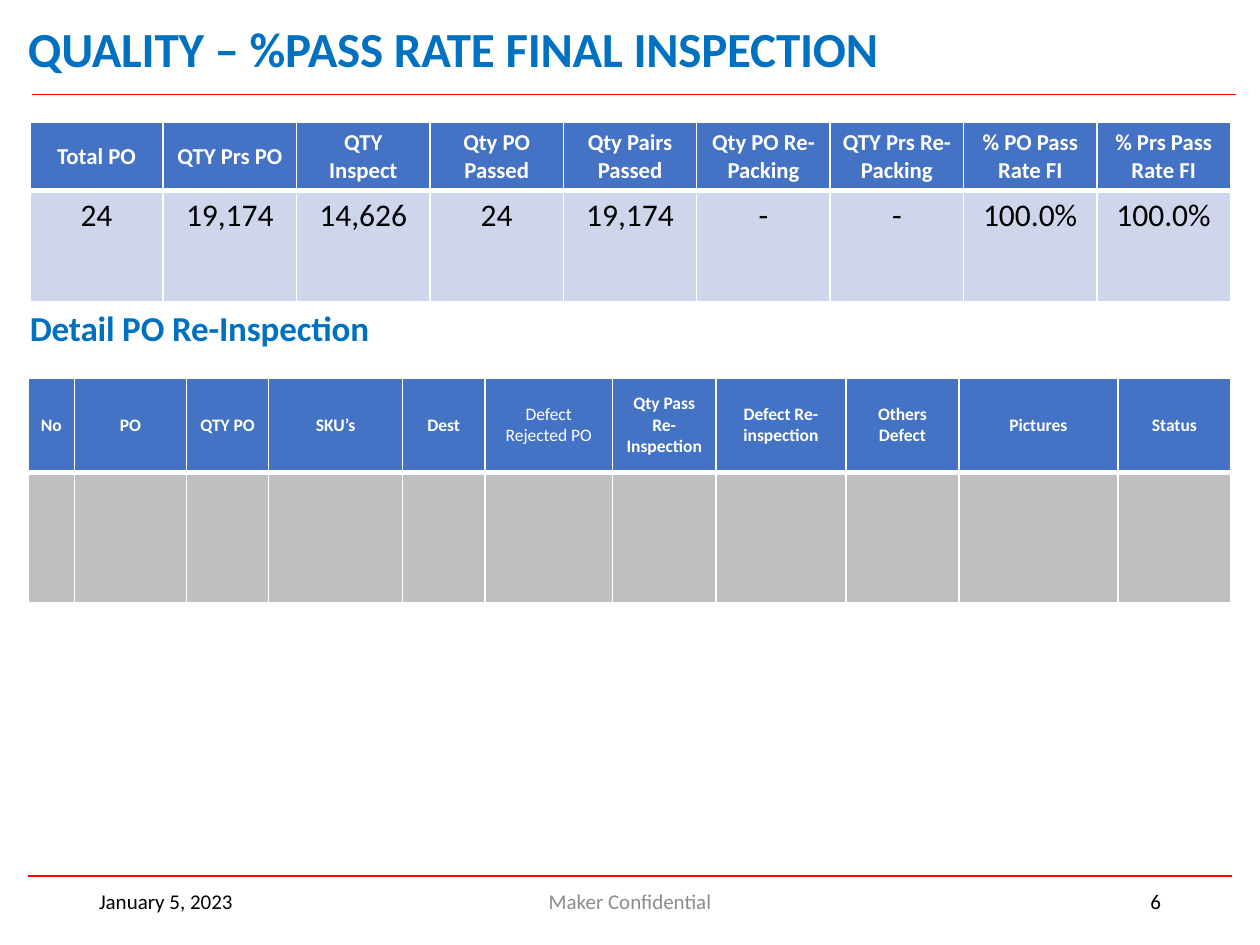
from dataclasses import dataclass

import pptx
import pptx.dml.color
import pptx.enum.shapes
import pptx.enum.text
import pptx.oxml
import pptx.oxml.ns
import pptx.util
from lxml import etree

Pt = pptx.util.Pt
RGBColor = pptx.dml.color.RGBColor
ALIGN = pptx.enum.text.PP_ALIGN
ANCHOR = pptx.enum.text.MSO_ANCHOR
qn = pptx.oxml.ns.qn

RED = RGBColor(0xFF, 0x00, 0x00)
BLUE = RGBColor(0x00, 0x70, 0xC0)
HEADER_BLUE = RGBColor(0x44, 0x72, 0xC4)
PALE_BLUE = RGBColor(0xCF, 0xD5, 0xEA)
SILVER = RGBColor(0xBF, 0xBF, 0xBF)
GREY = RGBColor(0x8C, 0x8C, 0x8C)
BLACK = RGBColor(0x00, 0x00, 0x00)
WHITE = RGBColor(0xFF, 0xFF, 0xFF)

HEADING_MARGINS = dict(margin_left=0, margin_right=0, margin_top=Pt(0.7), margin_bottom=0)


@dataclass
class Rule:
    x1: float
    x2: float
    y: float


@dataclass
class Label:
    text: str
    box: tuple[float, float, float, float]
    size: float
    color: RGBColor
    align: int = ALIGN.LEFT
    heading: bool = False


@dataclass
class Grid:
    x: float
    y: float
    widths: list[float]
    heights: list[float]
    rows: list[list[str]]
    sizes: list[float]
    body_fill: RGBColor
    regular: tuple[str, ...] = ()


def apply(obj, values: dict) -> None:
    for name, value in values.items():
        setattr(obj, name, value)


def write(tf, text: str, size: float, color: RGBColor, align: int, bold: bool) -> None:
    for i, line in enumerate(text.split("\n")):
        p = tf.add_paragraph() if i else tf.paragraphs[0]
        p.alignment = align
        r = p.add_run()
        r.text = line
        apply(r.font, dict(name="Calibri", size=Pt(size), bold=bold))
        r.font.color.rgb = color


def draw_rule(s, rule: Rule) -> None:
    sp = s.shapes.add_connector(pptx.enum.shapes.MSO_CONNECTOR.STRAIGHT,
                                Pt(rule.x1), Pt(rule.y), Pt(rule.x2), Pt(rule.y))
    sp.line.color.rgb = RED
    sp.line.width = Pt(1)
    etree.SubElement(sp._element.spPr, qn("a:effectLst"))


def fill_label(sp, label: Label) -> None:
    apply(sp, dict(zip(("left", "top", "width", "height"), map(Pt, label.box))))
    tf = sp.text_frame
    apply(tf, dict(word_wrap=True, auto_size=pptx.enum.text.MSO_AUTO_SIZE.NONE,
                   vertical_anchor=ANCHOR.TOP if label.heading else ANCHOR.MIDDLE))
    if label.heading:
        apply(tf, HEADING_MARGINS)
    write(tf, label.text, label.size, label.color, label.align, label.heading)
    if label.heading:
        tf.paragraphs[0].runs[0]._r.get_or_add_rPr().set("spc", "-10")


def add_borders(cell, top: float, bottom: float) -> None:
    tc_pr = cell._tc.get_or_add_tcPr()
    for side, width in dict(L=1, R=1, T=top, B=bottom).items():
        ln = etree.SubElement(tc_pr, qn(f"a:ln{side}"), w=str(Pt(width)))
        fill = etree.SubElement(ln, qn("a:solidFill"))
        etree.SubElement(fill, qn("a:srgbClr"), val=str(WHITE))


def draw_grid(s, grid: Grid) -> None:
    table = s.shapes.add_table(len(grid.rows), len(grid.widths), Pt(grid.x), Pt(grid.y),
                               Pt(sum(grid.widths)), Pt(sum(grid.heights))).table
    for column, width in zip(table.columns, grid.widths):
        column.width = Pt(width)
    for i, texts in enumerate(grid.rows):
        header = i == 0
        table.rows[i].height = Pt(grid.heights[i])
        for j, text in enumerate(texts):
            cell = table.cell(i, j)
            add_borders(cell, 1 if header else 3, 3 if header else 1)
            cell.fill.solid()
            cell.fill.fore_color.rgb = HEADER_BLUE if header else grid.body_fill
            apply(cell, dict(margin_left=Pt(7), margin_right=Pt(7),
                             vertical_anchor=ANCHOR.MIDDLE if header else ANCHOR.TOP))
            if text:
                write(cell.text_frame, text, grid.sizes[i], WHITE if header else BLACK,
                      ALIGN.CENTER, header and text not in grid.regular)


RULES = [Rule(18, 706.3, 54), Rule(15.8, 704.2, 500.4)]

TITLE = Label("QUALITY – %PASS RATE FINAL INSPECTION", (16, 10, 630, 35.3), 28, BLUE, heading=True)

LABELS = [
    Label("Detail PO Re-Inspection", (17, 174.2, 686, 25.2), 20, BLUE, heading=True),
    Label("January 5, 2023", (49.5, 500.4, 162, 28.8), 12, BLACK),
    Label("Maker Confidential", (238.5, 500.4, 243, 28.8), 12, GREY, ALIGN.CENTER),
    Label("6", (508.5, 500.4, 162, 28.8), 12, BLACK, ALIGN.RIGHT),
]

SUMMARY = Grid(
    17, 70, [76.24] * 9, [38.9, 63.4],
    [["Total PO", "QTY Prs PO", "QTY Inspect", "Qty PO Passed", "Qty Pairs Passed",
      "Qty PO Re-Packing", "QTY Prs Re-Packing", "% PO Pass Rate FI", "% Prs Pass Rate FI"],
     ["24", "19,174", "14,626", "24", "19,174", "-", "-", "100.0%", "100.0%"]],
    [13, 18], PALE_BLUE)

REJECTED = "Defect\nRejected PO"
DETAIL = Grid(
    16, 216, [26.6, 64, 47, 76.5, 47, 73, 59, 74.4, 64.6, 90.8, 64.6], [54, 74.2],
    [["No", "PO", "QTY PO", "SKU’s", "Dest", REJECTED, "Qty Pass Re-Inspection",
      "Defect Re-inspection", "Others Defect", "Pictures", "Status"],
     [""] * 11],
    [10, 10], SILVER, (REJECTED,))


def main() -> None:
    prs = pptx.Presentation()
    apply(prs, dict(slide_width=Pt(720), slide_height=Pt(540)))
    s = prs.slides.add_slide(prs.slide_layouts.get_by_name("Title Only"))

    # Title and the red rules above and below the content
    fill_label(s.shapes.title, TITLE)
    for rule in RULES:
        draw_rule(s, rule)

    # Inspection tables
    for grid in (SUMMARY, DETAIL):
        draw_grid(s, grid)

    # Section heading and footer
    for label in LABELS:
        fill_label(s.shapes.add_textbox(*map(Pt, label.box)), label)

    prs.save("out.pptx")


if __name__ == "__main__":
    main()
